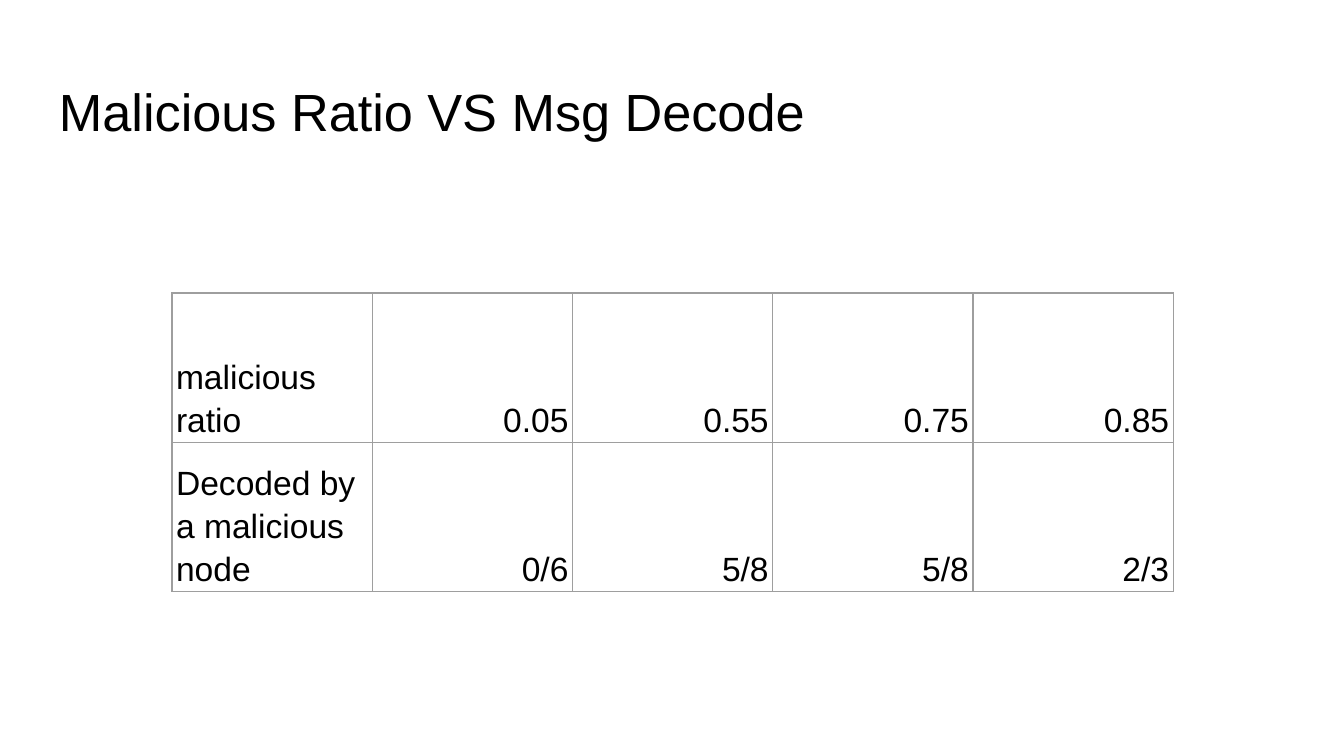
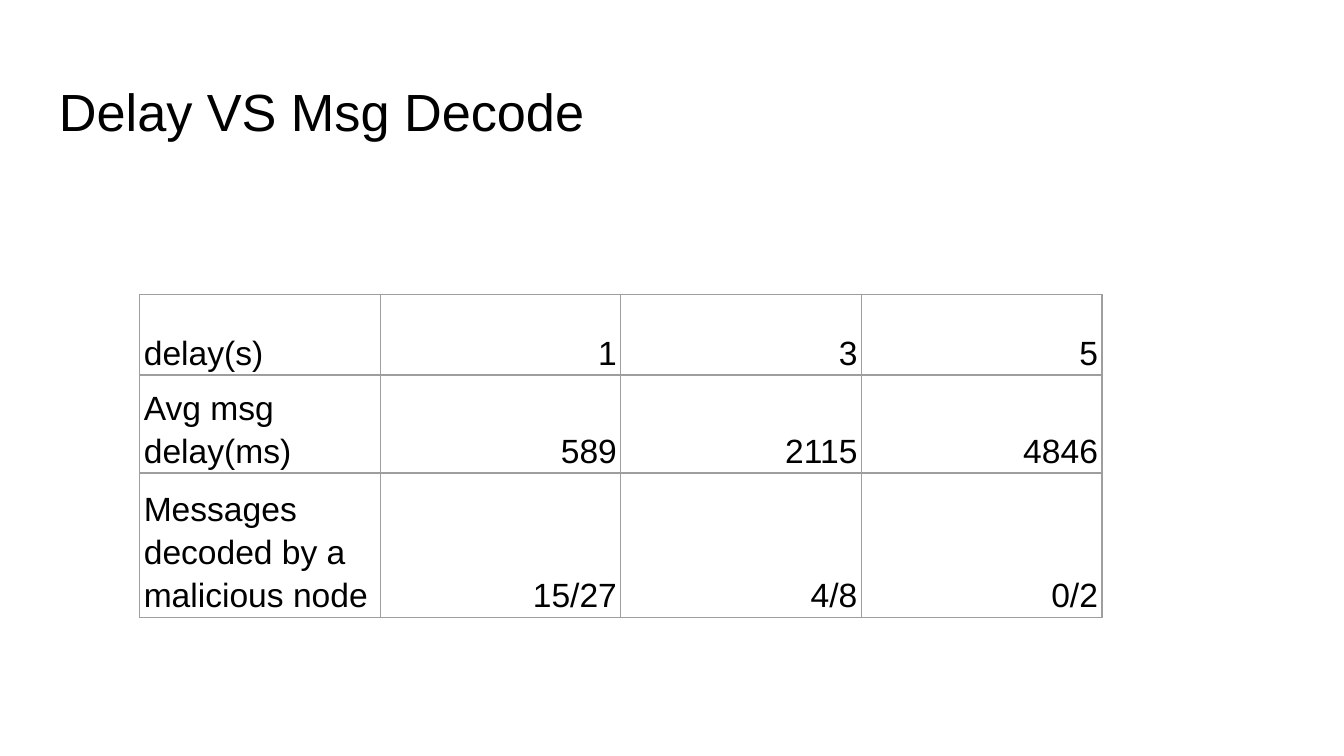
from dataclasses import dataclass

from lxml import etree
from pptx import Presentation
from pptx.dml.color import RGBColor
from pptx.enum import text
from pptx.oxml import ns
from pptx.util import Inches, Pt

# Content: title, table origin, column width, row heights (inches), rows
SLIDES = [
    {
        "title": "Malicious Ratio VS Msg Decode",
        "origin": (1.28, 2.18),
        "column": 1.49,
        "heights": [1.11, 1.11],
        "rows": [
            ["malicious ratio", "0.05", "0.55", "0.75", "0.85"],
            ["Decoded by a malicious node", "0/6", "5/8", "5/8", "2/3"],
        ],
    },
    {
        "title": "Delay VS Msg Decode",
        "origin": (1.04, 2.19),
        "column": 1.79,
        "heights": [0.6, 0.6, 0.87],
        "rows": [
            ["delay(s)", "1", "3", "5"],
            ["Avg msg delay(ms)", "589", "2115", "4846"],
            ["Messages decoded by a malicious node", "15/27", "4/8", "0/2"],
        ],
    },
]


@dataclass(frozen=True)
class Theme:
    width: float = 10
    height: float = 10 * 9 / 16
    margin: float = 0.34
    title_top: float = 0.49
    title_height: float = 0.63
    title_inset: float = 0.1
    table_frame: float = 3.28
    cell_inset_x: float = 0.03
    cell_inset_y: float = 0.02
    font: str = "Arial"
    title_size: int = 28
    cell_size: int = 18
    cell_spacing: float = 1.15
    ink: str = "000000"
    paper: str = "FFFFFF"
    rule: str = "9E9E9E"
    rule_width: float = 0.75


THEME = Theme()


def write(para, words, size):
    span = para.add_run()
    span.text = words
    span.font.name = THEME.font
    span.font.size = Pt(size)
    span.font.color.rgb = RGBColor.from_string(THEME.ink)


def set_insets(target, across, down):
    target.margin_left = target.margin_right = Inches(across)
    target.margin_top = target.margin_bottom = Inches(down)


def add_title(page, words):
    box = page.shapes.add_textbox(
        Inches(THEME.margin), Inches(THEME.title_top),
        Inches(THEME.width - 2 * THEME.margin), Inches(THEME.title_height))
    frame = box.text_frame
    frame.word_wrap = True
    set_insets(frame, THEME.title_inset, THEME.title_inset)
    write(frame.paragraphs[0], words, THEME.title_size)


def add_borders(cell):
    properties = cell._tc.get_or_add_tcPr()
    # Border lines come before the fill in the cell properties
    for place, side in enumerate(("lnL", "lnR", "lnT", "lnB")):
        line = etree.Element(ns.qn(f"a:{side}"), w=str(Pt(THEME.rule_width)))
        fill = etree.SubElement(line, ns.qn("a:solidFill"))
        etree.SubElement(fill, ns.qn("a:srgbClr"), val=THEME.rule)
        properties.insert(place, line)


def fill_cell(cell, words, is_label):
    cell.fill.background()
    cell.vertical_anchor = text.MSO_ANCHOR.BOTTOM
    set_insets(cell, THEME.cell_inset_x, THEME.cell_inset_y)
    add_borders(cell)
    para = cell.text_frame.paragraphs[0]
    para.line_spacing = THEME.cell_spacing
    para.alignment = text.PP_ALIGN.LEFT if is_label else text.PP_ALIGN.RIGHT
    write(para, words, THEME.cell_size)


def add_results(page, content):
    rows = content["rows"]
    left, top = content["origin"]
    side = Inches(THEME.table_frame)
    holder = page.shapes.add_table(
        len(rows), len(rows[0]), Inches(left), Inches(top), side, side)
    table = holder.table
    table.first_row = table.horz_banding = False
    for column in table.columns:
        column.width = Inches(content["column"])
    for r, (row, height) in enumerate(zip(rows, content["heights"])):
        table.rows[r].height = Inches(height)
        for c, words in enumerate(row):
            fill_cell(table.cell(r, c), words, is_label=c == 0)
    # Sizing rows and columns resizes the frame, so its size is set last
    holder.width = holder.height = side


def main():
    deck = Presentation()
    deck.slide_width = Inches(THEME.width)
    deck.slide_height = Inches(THEME.height)
    for content in SLIDES:
        page = deck.slides.add_slide(deck.slide_layouts[6])
        page.background.fill.solid()
        page.background.fill.fore_color.rgb = RGBColor.from_string(THEME.paper)
        add_title(page, content["title"])
        add_results(page, content)
    deck.save("out.pptx")


if __name__ == "__main__":
    main()
